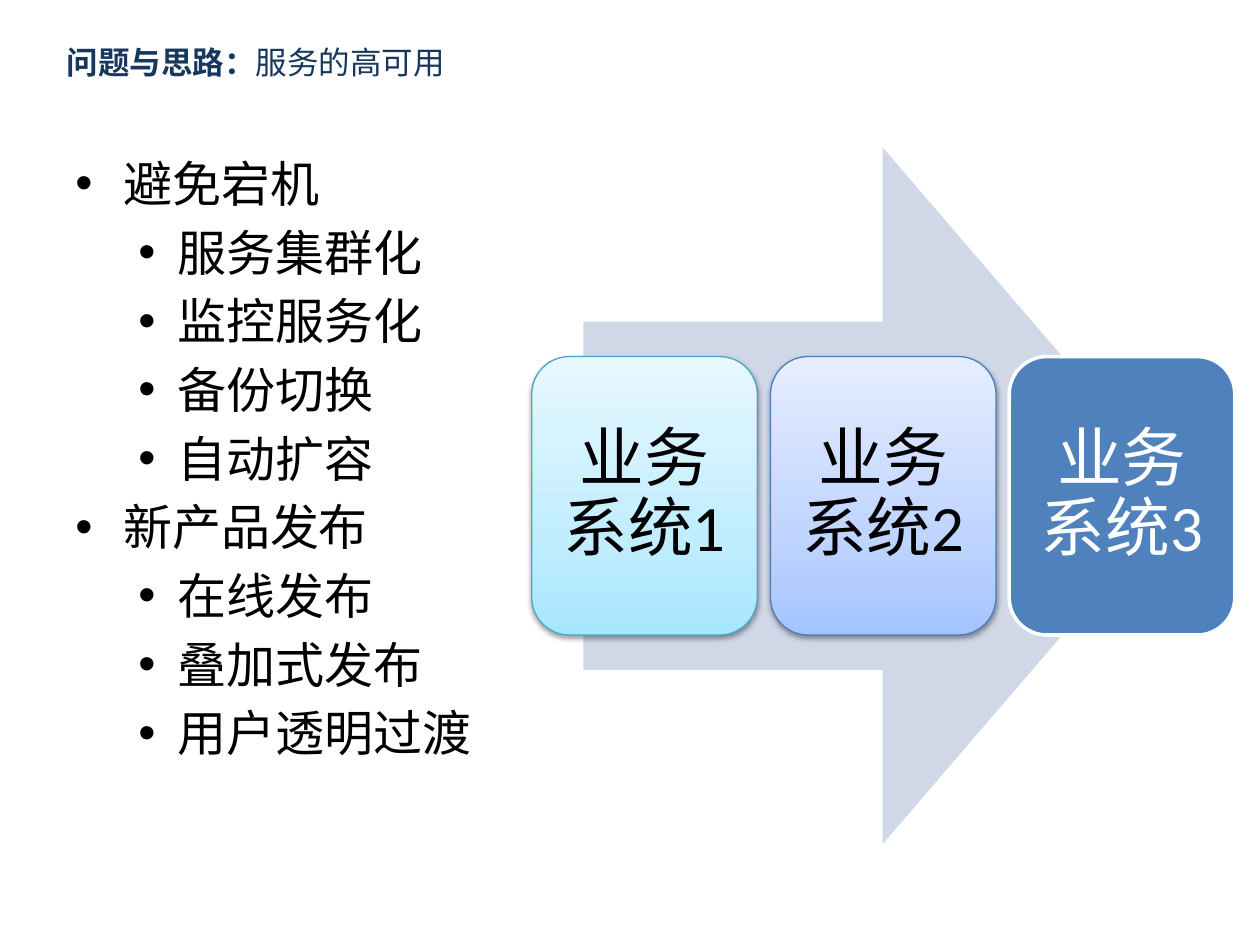
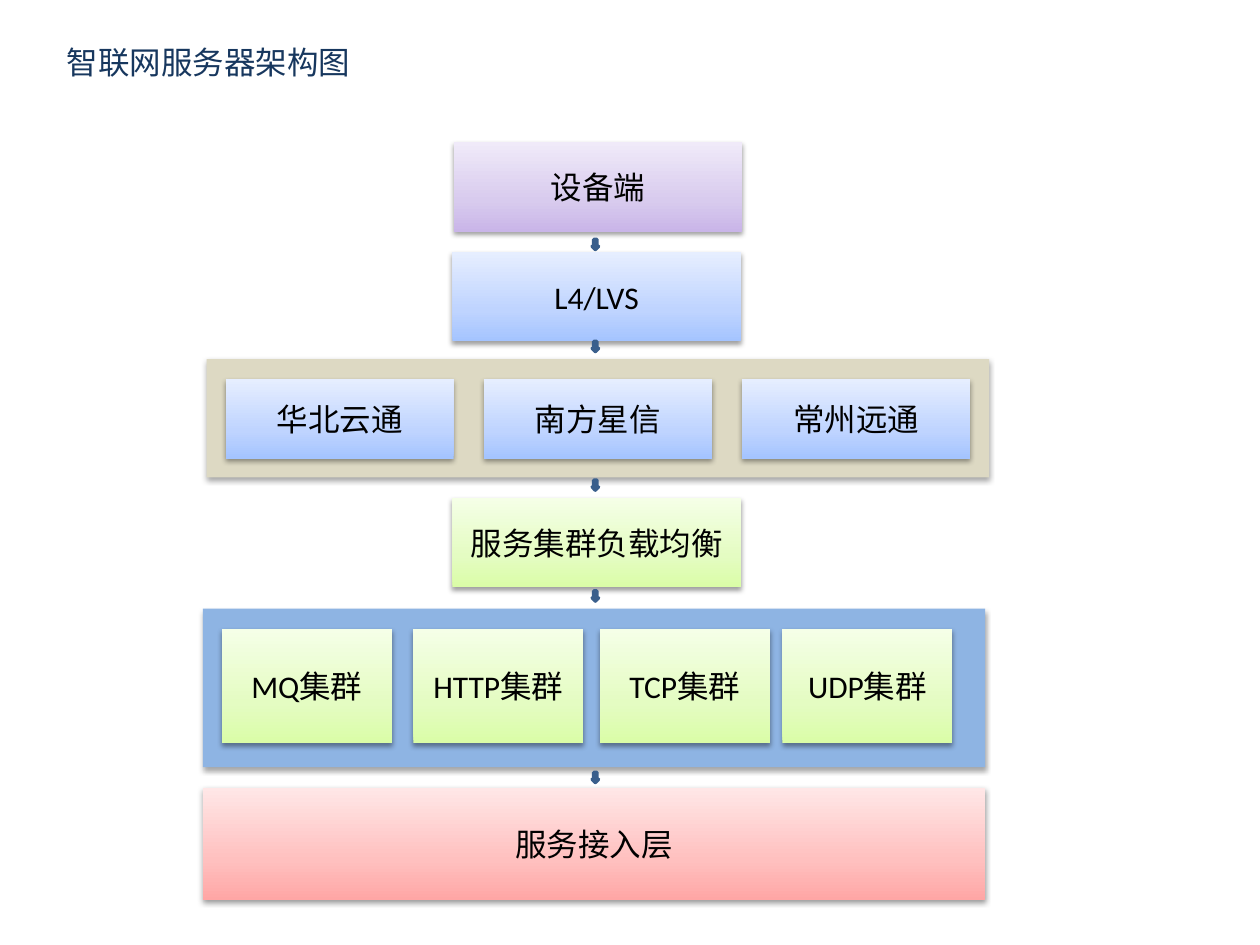
from copy import deepcopy

from lxml import etree
from pptx import Presentation
from pptx.dml.color import RGBColor
from pptx.enum.shapes import MSO_SHAPE
from pptx.enum.text import MSO_ANCHOR, PP_ALIGN
from pptx.oxml.ns import qn
from pptx.util import Inches, Pt

RECT = MSO_SHAPE.RECTANGLE
ROUND = MSO_SHAPE.ROUNDED_RECTANGLE
RIGHT = MSO_SHAPE.RIGHT_ARROW
DOWN = MSO_SHAPE.DOWN_ARROW
CENTER = PP_ALIGN.CENTER
MIDDLE = MSO_ANCHOR.MIDDLE

FONT = "Calibri"
HEX = {
    "title": "17375E", "black": "000000", "white": "FFFFFF",
    "pale": "D0D8E8", "blue": "4F81BD", "navy": "3A5F8C",
    "aqua edge": "46AAC5", "blue edge": "4B7EBC",
    "sand": "DDD9C3", "sky": "8EB4E3",
}
# Gradients run from the bottom edge to the top edge
GRADS = {
    "aqua": ("A7E6FF", "C1EDFF", "E7F8FF"),
    "ice": ("A4C4FF", "BFD4FF", "E6EEFF"),
    "lilac": ("C9B5E8", "D8CBEE", "F0EAF9"),
    "lime": ("DAFDA7", "E4FCC2", "F5FFE7"),
    "rose": ("FFA6A5", "FFC0BF", "FFE7E7"),
}
STOPS = (0, 0.35, 1)


def rgb(name):
    return RGBColor.from_string(HEX[name])


def style(para, size, color="black"):
    para.font.name = FONT
    para.font.size = Pt(size)
    para.font.color.rgb = rgb(color)


def paint(shape, fill):
    """Fill with a named gradient or a named plain colour."""
    if fill not in GRADS:
        shape.fill.solid()
        shape.fill.fore_color.rgb = rgb(fill)
        return
    shape.fill.gradient()
    shape.fill.gradient_angle = 90
    stops = shape._element.spPr.find(qn("a:gradFill")).find(qn("a:gsLst"))
    stops.insert(1, deepcopy(stops[0]))
    for stop, place, color in zip(shape.fill.gradient_stops, STOPS, GRADS[fill]):
        stop.position = place
        stop.color.rgb = RGBColor.from_string(color)


def shade(shape, dist=1.6, alpha=38):
    """Drop a soft shadow straight down."""
    effects = shape._element.spPr.find(qn("a:effectLst"))
    drop = etree.SubElement(effects, qn("a:outerShdw"), blurRad=str(Pt(3.1)),
                            dist=str(Pt(dist)), dir="5400000", rotWithShape="0")
    color = etree.SubElement(drop, qn("a:srgbClr"), val=HEX["black"])
    etree.SubElement(color, qn("a:alpha"), val=str(alpha * 1000))


def add_form(slide, kind, box, fill, edge=None, width=0.75):
    shape = slide.shapes.add_shape(kind, *map(Inches, box))
    shape.shadow.inherit = False
    paint(shape, fill)
    if edge:
        shape.line.color.rgb = rgb(edge)
        shape.line.width = Pt(width)
    else:
        shape.line.fill.background()
    return shape


def label(shape, text, size=18, color="black"):
    shape.text_frame.vertical_anchor = MIDDLE
    para = shape.text_frame.paragraphs[0]
    para.text = text
    para.alignment = CENTER
    style(para, size, color)
    return para


def add_text(slide, box):
    frame = slide.shapes.add_textbox(*map(Inches, box)).text_frame
    frame.word_wrap = True
    return frame


def add_title(slide, text, lead=""):
    para = add_text(slide, (0.43, 0.29, 6.93, 0.51)).paragraphs[0]
    style(para, 18, "title")
    if lead:
        run = para.add_run()
        run.text = lead
        run.font.bold = True
    para.add_run().text = text


def add_list(slide, box, groups):
    frame = add_text(slide, box)
    items = []
    for head, points in groups:
        items += [(head, 0)] + [(point, 1) for point in points]
    for i, (text, level) in enumerate(items):
        para = frame.add_paragraph() if i else frame.paragraphs[0]
        para.text = text
        para.level = level
        para.space_before = Pt(5.6)
        style(para, 28)
        left, hang = ((0.38, 0.38), (0.81, 0.31))[level]
        props = para._p.get_or_add_pPr()
        props.set("marL", str(Inches(left)))
        props.set("indent", str(-Inches(hang)))
        etree.SubElement(props, qn("a:buFont"), typeface="Arial")
        etree.SubElement(props, qn("a:buChar"), char="•")


def add_card(slide, left, text, fill, edge, width, color):
    card = add_form(slide, ROUND, (left, 2.83, 1.79, 2.21), fill, edge, width)
    frame = card.text_frame
    frame.margin_left = frame.margin_right = Inches(0.15)
    frame.margin_top = frame.margin_bottom = Inches(0.15)
    label(card, text, 37, color).line_spacing = 0.9
    if fill in GRADS:
        shade(card)


def add_block(slide, box, fill, text):
    block = add_form(slide, RECT, box, fill)
    shade(block)
    label(block, text)


def add_band(slide, box, fill):
    shade(add_form(slide, RECT, box, fill), 1.8, 35)


def build_uptime(slide):
    add_title(slide, "服务的高可用", "问题与思路：")
    # Arrow with the three systems on it
    add_form(slide, RIGHT, (4.63, 1.17, 4.75, 5.53), "pale")
    cards = (("aqua", "aqua edge", 0.75, "black"),
             ("ice", "blue edge", 0.75, "black"),
             ("blue", "white", 2, "white"))
    for i, look in enumerate(cards):
        add_card(slide, 4.22 + 1.895 * i, f"业务系统{i + 1}", *look)
    # Measures
    add_list(slide, (0.5, 1.17, 3.63, 5.53), (
        ("避免宕机", ("服务集群化", "监控服务化", "备份切换", "自动扩容")),
        ("新产品发布", ("在线发布", "叠加式发布", "用户透明过渡")),
    ))


def build_layers(slide):
    add_title(slide, "智联网服务器架构图")
    # Entry
    add_block(slide, (3.6, 1.13, 2.29, 0.71), "lilac", "设备端")
    add_block(slide, (3.59, 2, 2.29, 0.71), "ice", "L4/LVS")
    # Carriers
    add_band(slide, (1.64, 2.85, 6.21, 0.94), "sand")
    for i, name in enumerate(("华北云通", "南方星信", "常州远通")):
        add_block(slide, (1.79 + 2.05 * i, 3.01, 1.81, 0.63), "ice", name)
    # Clusters
    add_block(slide, (3.59, 3.95, 2.29, 0.71), "lime", "服务集群负载均衡")
    add_band(slide, (1.61, 4.83, 6.21, 1.26), "sky")
    for name, left in (("MQ", 1.76), ("HTTP", 3.28), ("TCP", 4.76), ("UDP", 6.21)):
        add_block(slide, (left, 4.99, 1.35, 0.91), "lime", f"{name}集群")
    # Access layer
    add_block(slide, (1.61, 6.25, 6.21, 0.89), "rose", "服务接入层")
    # Arrows between the layers
    for top in (1.9, 2.71, 3.81, 4.69, 6.13):
        add_form(slide, DOWN, (4.7, top, 0.05, 0.08), "blue", "navy", 2)


def main():
    deck = Presentation()
    deck.slide_width = Inches(10)
    deck.slide_height = Inches(7.5)
    for build in (build_uptime, build_layers):
        build(deck.slides.add_slide(deck.slide_layouts[6]))
    deck.save("out.pptx")


if __name__ == "__main__":
    main()
